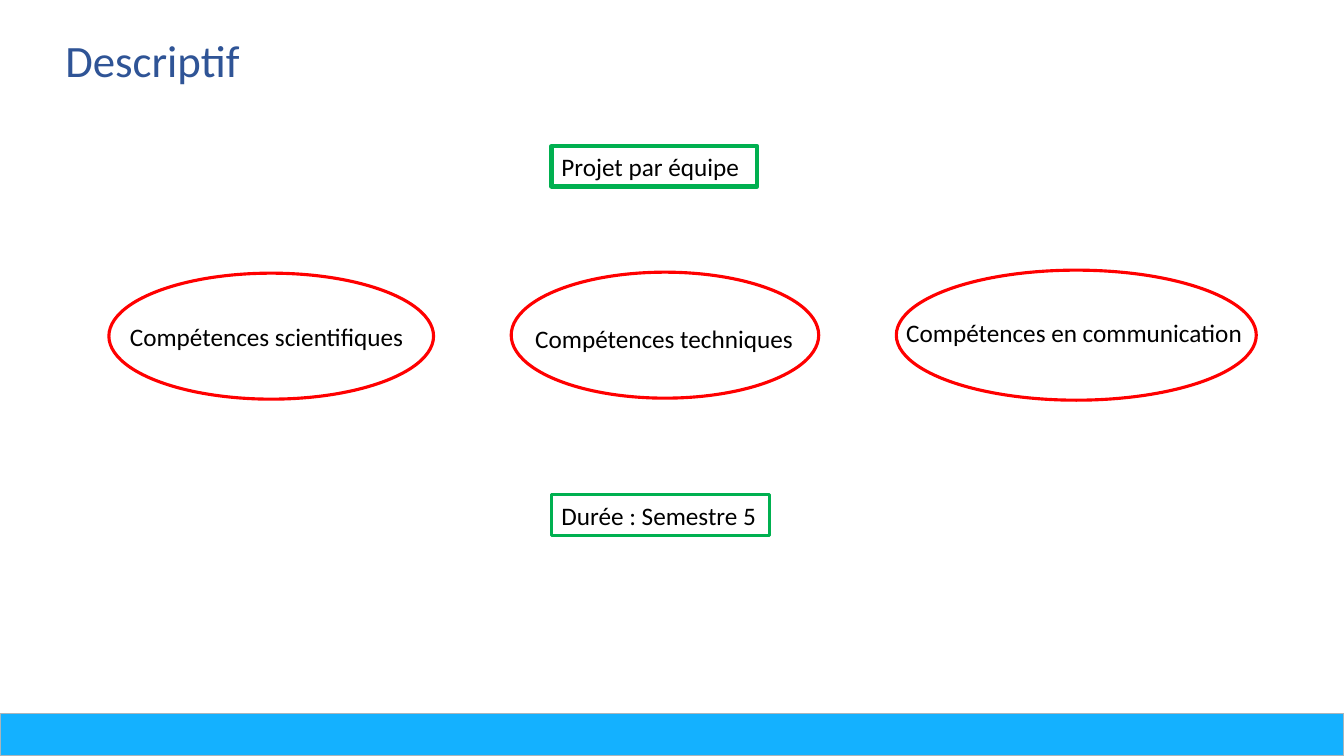
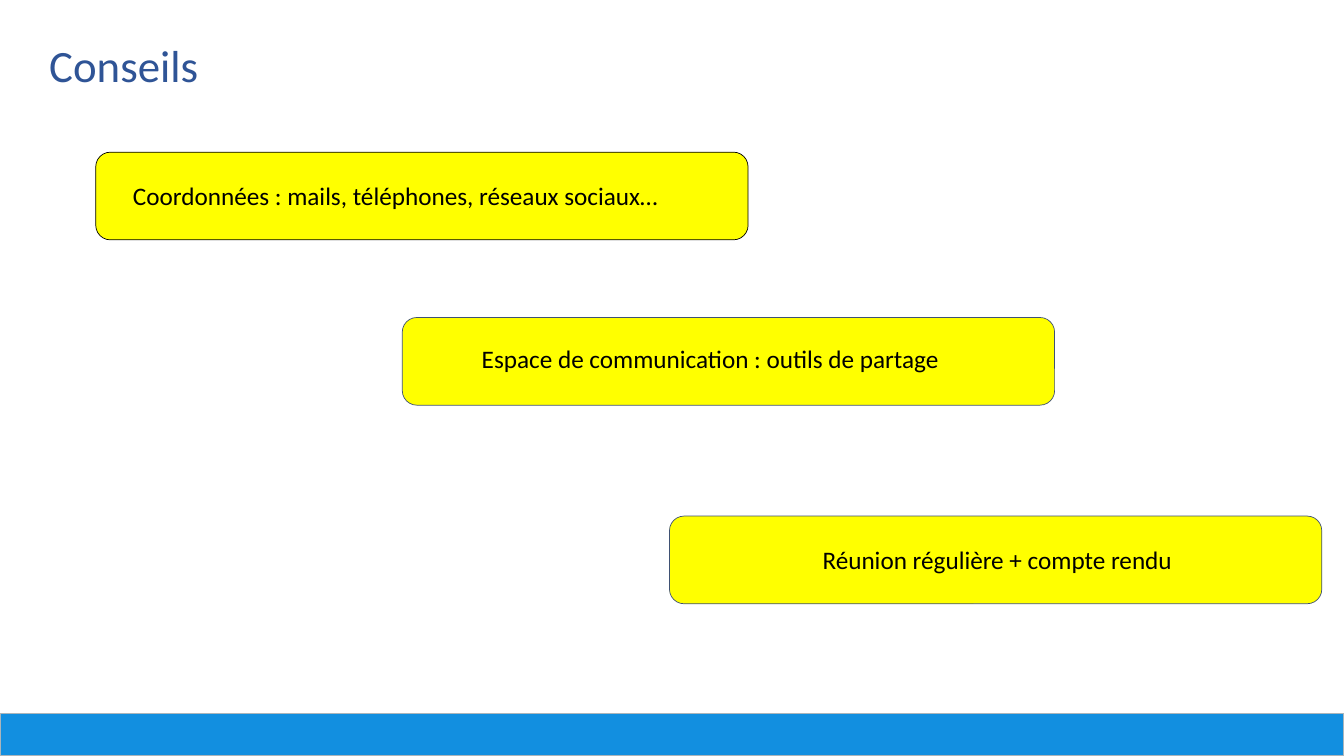
from pptx import Presentation
from pptx.dml.color import RGBColor
from pptx.enum.shapes import MSO_SHAPE
from pptx.enum.text import MSO_ANCHOR, PP_ALIGN
from pptx.util import Inches, Pt

COLORS = {
    "title": "2F5496", "text": "000000",
    "band_light": "14B1FF", "band_dark": "128FE0", "band_line": "AAB5BB",
    "red": "FF0000", "green": "00B050",
    "yellow": "FFFF00", "slate": "3F5173", "black": "000000",
}
FONT = "Calibri"
SLIDE_W, SLIDE_H, BAND_H = 13.33, 7.5, 0.42
LABEL_H = 0.4


def rgb(name):
    return RGBColor.from_string(COLORS[name])


class Deck:
    """Holds the shared style and the current slide."""

    def __init__(self):
        self.prs = Presentation()
        self.prs.slide_width = Inches(SLIDE_W)
        self.prs.slide_height = Inches(SLIDE_H)
        self.s = None

    def new_slide(self, title, x, y, w, band):
        self.s = self.prs.slides.add_slide(self.prs.slide_layouts[6])
        self.shape(MSO_SHAPE.RECTANGLE, 0, SLIDE_H - BAND_H, SLIDE_W, BAND_H,
                   "band_line", 1, fill=band)
        self.label(title, x, y, w, 0.64, size=32, color="title")

    def shape(self, kind, x, y, w, h, line, weight, fill=None):
        sp = self.s.shapes.add_shape(kind, Inches(x), Inches(y), Inches(w), Inches(h))
        sp.shadow.inherit = False
        if fill:
            sp.fill.solid()
            sp.fill.fore_color.rgb = rgb(fill)
        else:
            sp.fill.background()
        sp.line.color.rgb = rgb(line)
        sp.line.width = Pt(weight)
        return sp

    def set_text(self, sp, text, size=18, color="text"):
        tf = sp.text_frame
        tf.word_wrap = True
        tf.vertical_anchor = MSO_ANCHOR.TOP
        p = tf.paragraphs[0]
        p.alignment = PP_ALIGN.LEFT
        r = p.add_run()
        r.text = text
        r.font.name = FONT
        r.font.size = Pt(size)
        r.font.color.rgb = rgb(color)

    def label(self, text, x, y, w, h=LABEL_H, size=18, color="text"):
        sp = self.s.shapes.add_textbox(Inches(x), Inches(y), Inches(w), Inches(h))
        self.set_text(sp, text, size, color)

    def framed(self, text, x, y, w, weight):
        sp = self.shape(MSO_SHAPE.RECTANGLE, x, y, w, LABEL_H, "green", weight)
        self.set_text(sp, text)

    def skill(self, text, oval, label):
        self.shape(MSO_SHAPE.OVAL, *oval, "red", 2.25)
        self.label(text, *label)

    def advice(self, text, x, y, line, label):
        self.shape(MSO_SHAPE.ROUNDED_RECTANGLE, x, y, 6.47, 0.87, line, 0.5,
                   fill="yellow")
        self.label(text, *label)


def main():
    deck = Deck()

    # Description: three skills between two framed notes
    deck.new_slide("Descriptif", 0.55, 0.28, 3.36, "band_light")
    for text, oval, label in (
        ("Compétences scientifiques", (1.08, 2.71, 3.22, 1.25), (1.19, 3.14, 3.11)),
        ("Compétences techniques", (5.07, 2.7, 3.05, 1.25), (5.21, 3.16, 2.79)),
        ("Compétences en communication", (8.89, 2.68, 3.57, 1.29), (8.89, 3.1, 3.57)),
    ):
        deck.skill(text, oval, label)
    deck.framed("Projet par équipe", 5.47, 1.45, 2.04, 3)
    deck.framed("Durée : Semestre 5", 5.47, 4.91, 2.16, 2.25)

    # Advice: cards stepping down to the right
    deck.new_slide("Conseils", 0.39, 0.33, 1.8, "band_dark")
    for text, x, y, line, label in (
        ("Coordonnées : mails, téléphones, réseaux sociaux…", 0.95, 1.51, "black",
         (1.22, 1.74, 5.93)),
        ("Espace de communication : outils de partage", 3.99, 3.15, "slate",
         (4.68, 3.36, 4.93)),
        ("Réunion régulière + compte rendu", 6.64, 5.12, "slate",
         (8.06, 5.35, 3.98)),
    ):
        deck.advice(text, x, y, line, label)

    deck.prs.save("out.pptx")


if __name__ == "__main__":
    main()
